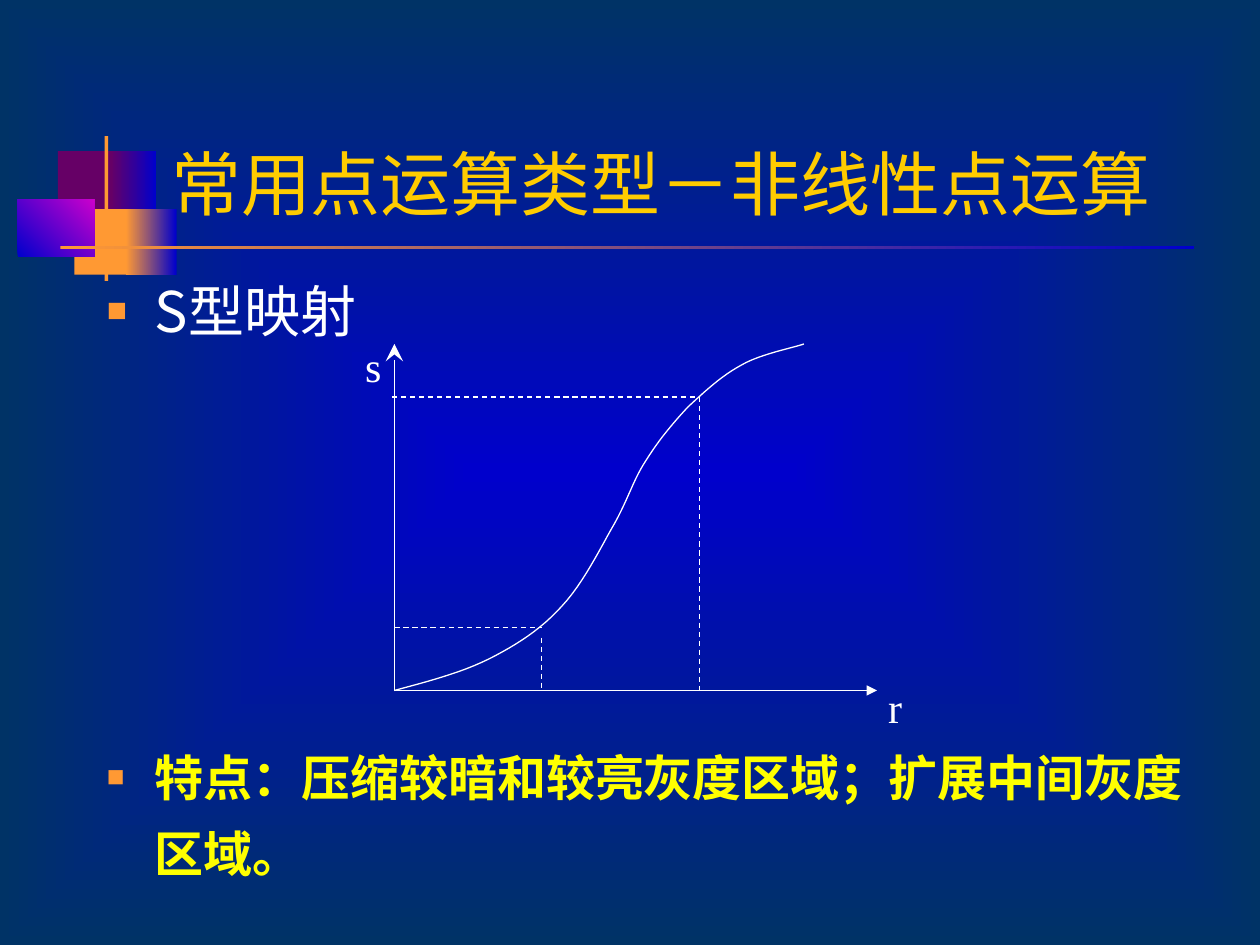
from dataclasses import dataclass

from lxml.etree import SubElement as Sub
from pptx import Presentation
from pptx.dml.color import RGBColor as RGB
from pptx.enum.dml import MSO_LINE as Dash
from pptx.enum.shapes import MSO_CONNECTOR as Conn, MSO_SHAPE as Form
from pptx.enum.text import MSO_ANCHOR as Anchor
from pptx.oxml.ns import qn
from pptx.util import Inches, Pt


@dataclass(frozen=True)
class Theme:
    blue: str = "0000CC"
    navy: str = "003366"
    plum: str = "660066"
    pink: str = "CC00CC"
    orange: str = "FF9933"
    gold: str = "FFCC00"
    yellow: str = "FFFF00"
    white: str = "FFFFFF"
    sans: str = "Lato"
    han: str = "Noto Sans CJK SC"
    serif: str = "Times New Roman"
    title: int = 40
    head: int = 32
    note: int = 28
    label: int = 24
    thin: float = 0.75


T = Theme()

# Plot frame: origin, axis tips and the two bends of the curve
LEFT, BASE, TOP, RIGHT = 3.13, 5.48, 2.73, 6.96
LOW, HIGH = (4.3, 4.98), (5.55, 3.15)

# Cubic segments: two controls and an end, each starting at the last end
CURVE = [
    ((3.39, 5.41), (3.66, 5.34), (3.88, 5.23)),
    ((4.1, 5.12), (4.3, 4.99), (4.46, 4.81)),
    ((4.63, 4.63), (4.77, 4.34), (4.88, 4.15)),
    ((4.99, 3.95), (5.03, 3.8), (5.13, 3.65)),
    ((5.23, 3.49), (5.34, 3.36), (5.46, 3.23)),
    ((5.59, 3.11), (5.73, 2.98), (5.88, 2.9)),
    ((6.03, 2.81), (6.3, 2.76), (6.38, 2.73)),
]


def apply(item, values):
    for name, value in values.items():
        setattr(item, name, value)


def blend(fill, first, last):
    fill.gradient()
    for stop, tint in zip(fill.gradient_stops, (first, last)):
        stop.color.rgb = RGB.from_string(tint)


def paint_back(slide):
    blend(slide.background.fill, T.blue, T.navy)
    grad = slide.element.find(".//" + qn("a:gradFill"))
    grad.remove(grad.find(qn("a:lin")))
    glow = Sub(grad, qn("a:path"), path="rect")
    Sub(glow, qn("a:fillToRect"), dict.fromkeys("ltrb", "50000"))


def add_block(slide, box, first, last=None, angle=0):
    block = slide.shapes.add_shape(Form.RECTANGLE, *map(Inches, box))
    block.shadow.inherit = False
    block.line.fill.background()
    if last:
        blend(block.fill, first, last)
        block.fill.gradient_angle = angle
    else:
        block.fill.solid()
        block.fill.fore_color.rgb = RGB.from_string(first)


def add_text(slide, box, text, face, size, tint, bold=False, frame=None,
             para=None, mark=False):
    area = slide.shapes.add_textbox(*map(Inches, box)).text_frame
    apply(area, {"word_wrap": True, **(frame or {})})
    line = area.paragraphs[0]
    if mark:
        add_mark(line)
    apply(line, para or {})
    run = line.add_run()
    run.text = text
    apply(run.font, {"name": face, "size": Pt(size), "bold": bold})
    run.font.color.rgb = RGB.from_string(tint)
    Sub(run.font._element, qn("a:ea"), typeface=face)


def add_mark(line):
    props = line._p.get_or_add_pPr()
    apply_indent = {"marL": Inches(0.38), "indent": Inches(-0.38)}
    for name, value in apply_indent.items():
        props.set(name, str(value))
    Sub(Sub(props, qn("a:buClr")), qn("a:srgbClr"), val=T.orange)
    Sub(props, qn("a:buSzPct"), val="60000")
    Sub(props, qn("a:buFont"), typeface=T.serif)
    Sub(props, qn("a:buChar"), char="■")


def style_line(line, dash=None):
    line.color.rgb = RGB.from_string(T.white)
    apply(line, {"width": Pt(T.thin), "dash_style": dash})


def add_line(slide, start, end, dash=None, tip=None):
    rule = slide.shapes.add_connector(Conn.STRAIGHT, *map(Inches, start + end))
    style_line(rule.line, dash)
    props = rule._element.spPr
    if tip:
        side, kind, size = tip
        Sub(props.find(qn("a:ln")), qn(side), type=kind, w=size, len=size)
    Sub(props, qn("a:effectLst"))


def trace(start, curve, steps=12):
    for one, two, end in curve:
        for step in range(1, steps + 1):
            t = step / steps
            u = 1 - t
            yield tuple(
                Inches(u**3 * a + 3 * u * u * t * b + 3 * u * t * t * c + t**3 * d)
                for a, b, c, d in zip(start, one, two, end))
        start = end


def add_curve(slide):
    pen = slide.shapes.build_freeform(Inches(LEFT), Inches(BASE))
    pen.add_line_segments(list(trace((LEFT, BASE), CURVE)), close=False)
    curve = pen.convert_to_shape()
    curve.shadow.inherit = False
    curve.fill.background()
    style_line(curve.line)


def add_plot(slide):
    # Axes and their names
    add_line(slide, (LEFT, TOP), (LEFT, BASE), tip=("a:headEnd", "stealth", "lg"))
    add_line(slide, (LEFT, BASE), (RIGHT, BASE), tip=("a:tailEnd", "triangle", "med"))
    for name, box in (("s", (2.8, 2.65, 0.33, 0.5)), ("r", (6.95, 5.36, 0.31, 0.5))):
        add_text(slide, box, name, T.serif, T.label, T.white,
                 frame={"word_wrap": False})
    add_curve(slide)
    # Guides from the bends to the axes
    for start, end in (
        ((3.11, HIGH[1]), (5.52, HIGH[1])),
        (HIGH, (HIGH[0], BASE)),
        ((LEFT, LOW[1]), LOW),
        ((LOW[0], 5.06), (LOW[0], BASE)),
    ):
        add_line(slide, start, end, Dash.DASH)


def main():
    deck = Presentation()
    apply(deck, {"slide_width": Inches(10), "slide_height": Inches(7.5)})
    slide = deck.slides.add_slide(deck.slide_layouts[6])
    paint_back(slide)

    # Corner blocks and title rules
    for block in (
        ((0.46, 1.2, 0.48, 0.52), T.plum),
        ((0.88, 1.2, 0.36, 0.52), T.plum, T.blue),
        ((0.59, 1.66, 0.46, 0.52), T.orange),
        ((1, 1.66, 0.4, 0.52), T.orange, T.blue),
        ((0.14, 1.58, 0.61, 0.46), T.blue, T.pink, 45),
        ((0.83, 1.08, 0.03, 1.15), T.orange),
        ((0.48, 1.95, 9, 0.03), T.orange, T.blue),
    ):
        add_block(slide, *block)

    # Title and bullets
    add_text(slide, (1.26, 0.91, 7.99, 0.92), "常用点运算类型－非线性点运算",
             T.sans, T.title, T.gold,
             frame={"vertical_anchor": Anchor.BOTTOM, "margin_right": 0})
    add_text(slide, (0.75, 2.25, 8.74, 0.5), "S型映射", T.han, T.head, T.white,
             para={"line_spacing": 0.8}, mark=True)
    add_text(slide, (0.75, 5.74, 8.74, 1.24),
             "特点：压缩较暗和较亮灰度区域；扩展中间灰度区域。",
             T.sans, T.note, T.yellow, bold=True,
             para={"line_spacing": 1.3}, mark=True)

    add_plot(slide)
    deck.save("out.pptx")


if __name__ == "__main__":
    main()
